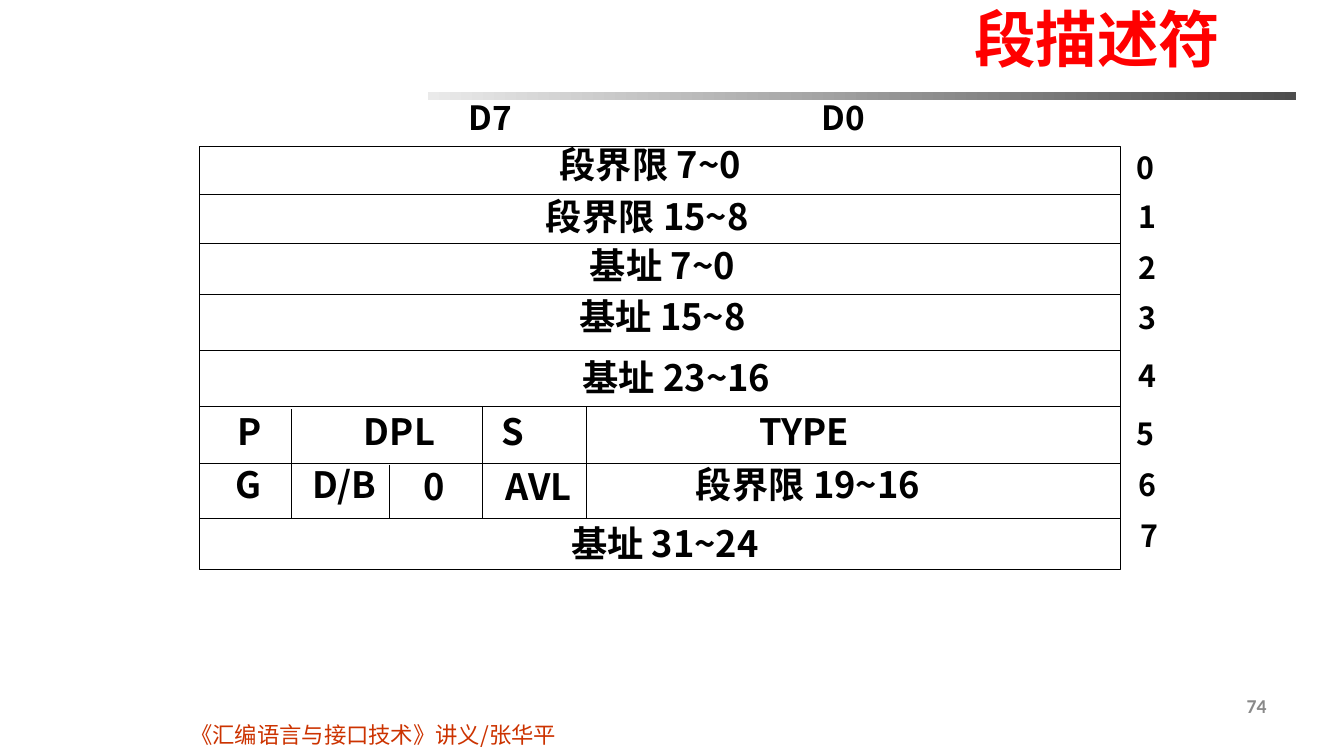
from lxml import etree
from pptx import Presentation
from pptx.dml.color import RGBColor
from pptx.enum.shapes import MSO_CONNECTOR, MSO_SHAPE
from pptx.enum.text import MSO_ANCHOR, MSO_AUTO_SIZE, PP_ALIGN
from pptx.oxml.ns import qn
from pptx.util import Inches, Pt

STRAIGHT = MSO_CONNECTOR.STRAIGHT
RECTANGLE = MSO_SHAPE.RECTANGLE
MIDDLE = MSO_ANCHOR.MIDDLE
NO_AUTOFIT = MSO_AUTO_SIZE.NONE
LEFT, CENTER, RIGHT = PP_ALIGN.LEFT, PP_ALIGN.CENTER, PP_ALIGN.RIGHT

BLACK = RGBColor(0x00, 0x00, 0x00)
RED = RGBColor(0xFF, 0x00, 0x00)
RUST = RGBColor(0xCC, 0x33, 0x00)
GRAY = RGBColor(0x89, 0x89, 0x89)
BAR_COLORS = (RGBColor(0xEA, 0xEA, 0xEA), RGBColor(0x4D, 0x4D, 0x4D))

CJK_FONT = "Noto Sans CJK SC"
RULE_WIDTH = Pt(0.75)
WIDE_INSETS = (0.1, 0.05)
CELL_INSETS = (0.02, 0.01)

TITLE_FONT = {"name": CJK_FONT, "size": Pt(44), "bold": True}
FOOTER_FONT = {"name": CJK_FONT, "size": Pt(16), "bold": False}
NUMBER_FONT = {"name": "Calibri", "size": Pt(14), "bold": True}
BIT_FONT = {"name": CJK_FONT, "size": Pt(23.8), "bold": True}
FIELD_FONT = {"name": CJK_FONT, "size": Pt(25.9), "bold": True}
BYTE_FONT = {"name": CJK_FONT, "size": Pt(21.7), "bold": True}

TABLE_LEFT, TABLE_TOP, TABLE_RIGHT, TABLE_BOTTOM = 1.98, 1.45, 11.12, 5.65
ROW_RULES = (1.93, 2.42, 2.92, 3.48, 4.03, 4.6, 5.14)
# x, top, bottom
COLUMN_RULES = ((2.89, 4.06, 5.14), (3.87, 4.61, 5.15),
                (4.79, 4.03, 5.14), (5.82, 4.03, 5.14))
# text, left, top, width
BITS = (("D7", 4.47, 1, 0.8), ("D0", 7.97, 1, 0.8))
FIELDS = (
    ("段界限 7~0", 4.82, 1.45, 3.27),
    ("段界限 15~8", 4.69, 1.97, 3.47),
    ("基址 7~0", 5.06, 2.45, 3.03),
    ("基址 15~8", 5.03, 2.96, 3.09),
    ("基址 23~16", 5.03, 3.56, 3.37),
    ("P", 2.26, 4.1, 0.44),
    ("DPL", 3.42, 4.1, 1.09),
    ("S", 4.87, 4.1, 0.44),
    ("TYPE", 6.96, 4.1, 2.05),
    ("G", 2.25, 4.63, 0.44),
    ("D/B", 2.93, 4.63, 0.98),
    ("0", 3.92, 4.64, 0.77),
    ("AVL", 4.8, 4.64, 1.09),
    ("段界限 19~16", 6.42, 4.63, 3.2),
    ("基址 31~24", 4.77, 5.21, 3.66),
)
# left, top of each byte number
BYTE_SPOTS = ((11.1, 1.54), (11.12, 2.03), (11.12, 2.53), (11.12, 3.03),
              (11.12, 3.6), (11.1, 4.18), (11.12, 4.68), (11.14, 5.19))


def write_text(shape, text, font_format, color, align, insets, spacing=1.0):
    frame = shape.text_frame
    frame.word_wrap = True
    frame.auto_size = NO_AUTOFIT
    frame.margin_left = frame.margin_right = Inches(insets[0])
    frame.margin_top = frame.margin_bottom = Inches(insets[1])
    paragraph = frame.paragraphs[0]
    paragraph.alignment = align
    paragraph.line_spacing = spacing
    run = paragraph.add_run()
    run.text = text
    for attribute, value in font_format.items():
        setattr(run.font, attribute, value)
    run.font.color.rgb = color
    east_asian = etree.SubElement(run.font._element, qn("a:ea"))
    east_asian.set("typeface", font_format["name"])


def add_label(slide, box, *text_format):
    label = slide.shapes.add_textbox(*map(Inches, box))
    write_text(label, *text_format)


def add_rule(slide, x1, y1, x2, y2):
    rule = slide.shapes.add_connector(STRAIGHT, *map(Inches, (x1, y1, x2, y2)))
    rule.line.color.rgb = BLACK
    rule.line.width = RULE_WIDTH
    etree.SubElement(rule._element.spPr, qn("a:effectLst"))


def add_title(slide):
    title = slide.shapes.title
    title.left, title.top, title.width, title.height = map(
        Inches, (9.57, -0.04, 3.26, 0.84))
    write_text(title, "段描述符", TITLE_FONT, RED, LEFT, WIDE_INSETS)
    title.text_frame.vertical_anchor = MIDDLE


def add_title_bar(slide):
    bar = slide.shapes.add_shape(
        RECTANGLE, *map(Inches, (4.25, 0.91, 8.61, 0.08)))
    bar.shadow.inherit = False
    bar.line.fill.background()
    bar.fill.gradient()
    bar.fill.gradient_angle = 0
    for stop, color in zip(bar.fill.gradient_stops, BAR_COLORS):
        stop.color.rgb = color


def add_descriptor_grid(slide):
    frame = slide.shapes.add_shape(RECTANGLE, *map(Inches, (
        TABLE_LEFT, TABLE_TOP,
        TABLE_RIGHT - TABLE_LEFT, TABLE_BOTTOM - TABLE_TOP)))
    frame.shadow.inherit = False
    frame.fill.background()
    frame.line.color.rgb = BLACK
    frame.line.width = RULE_WIDTH
    for y in ROW_RULES:
        add_rule(slide, TABLE_LEFT, y, TABLE_RIGHT, y)
    for x, top, bottom in COLUMN_RULES:
        add_rule(slide, x, top, x, bottom)


def add_descriptor_labels(slide):
    for labels, font_format in ((BITS, BIT_FONT), (FIELDS, FIELD_FONT)):
        for text, left, top, width in labels:
            add_label(slide, (left, top, width, 0.46), text, font_format,
                      BLACK, CENTER, CELL_INSETS, 0.9)
    for byte, (left, top) in enumerate(BYTE_SPOTS):
        add_label(slide, (left, top, 0.54, 0.39), str(byte), BYTE_FONT,
                  BLACK, CENTER, CELL_INSETS, 0.8)


def main():
    deck = Presentation()
    deck.slide_width, deck.slide_height = Inches(13.34), Inches(7.5)
    title_only = deck.slide_layouts[5]
    slide = deck.slides.add_slide(title_only)
    add_title_bar(slide)
    add_label(slide, (1.64, 7.11, 3.98, 0.37),
              "《汇编语言与接口技术》讲义/张华平",
              FOOTER_FONT, RUST, RIGHT, WIDE_INSETS)
    add_label(slide, (9.56, 6.83, 3.11, 0.52), "74",
              NUMBER_FONT, GRAY, RIGHT, WIDE_INSETS)
    add_title(slide)
    add_descriptor_grid(slide)
    add_descriptor_labels(slide)
    deck.save("out.pptx")


if __name__ == "__main__":
    main()
